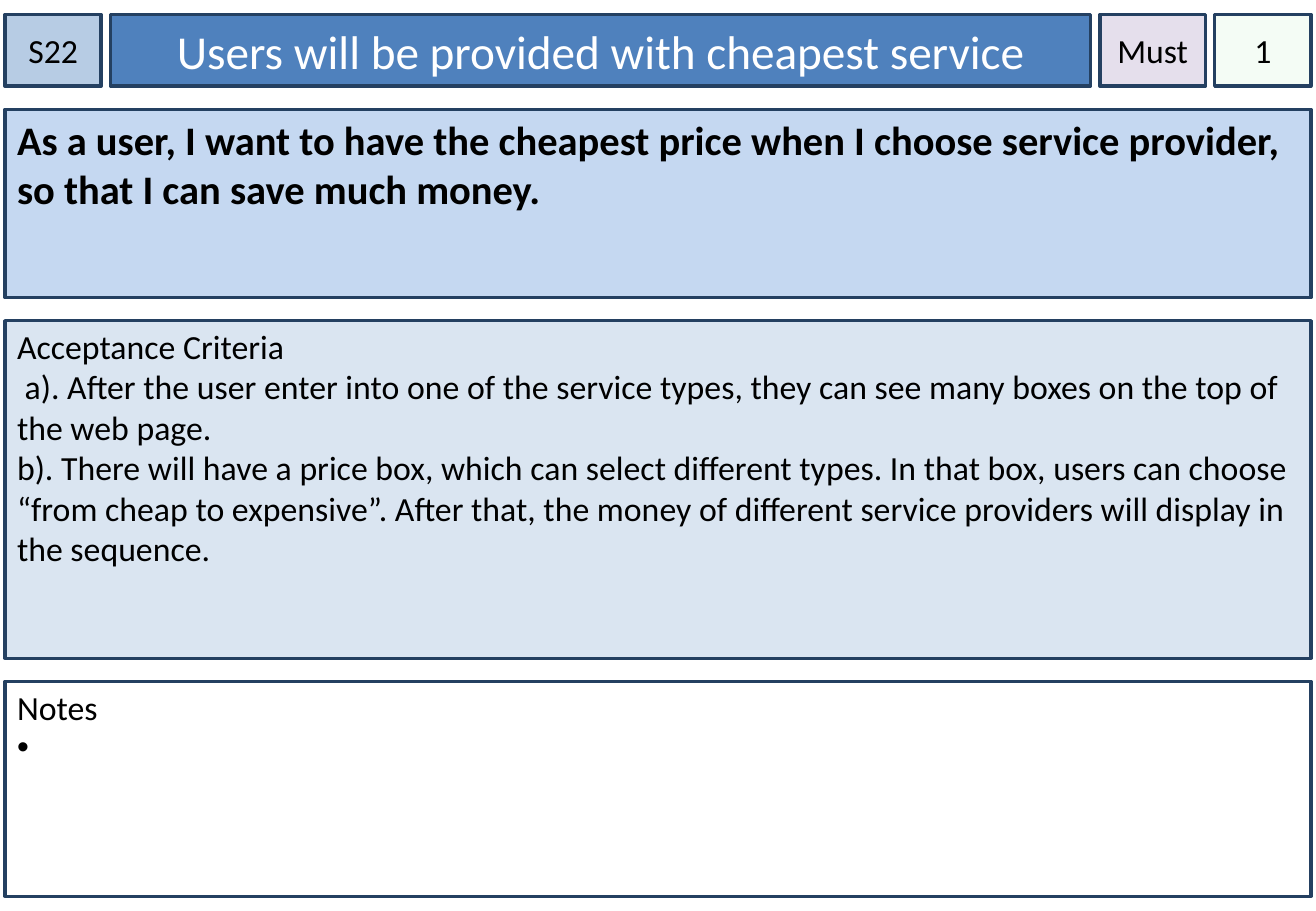
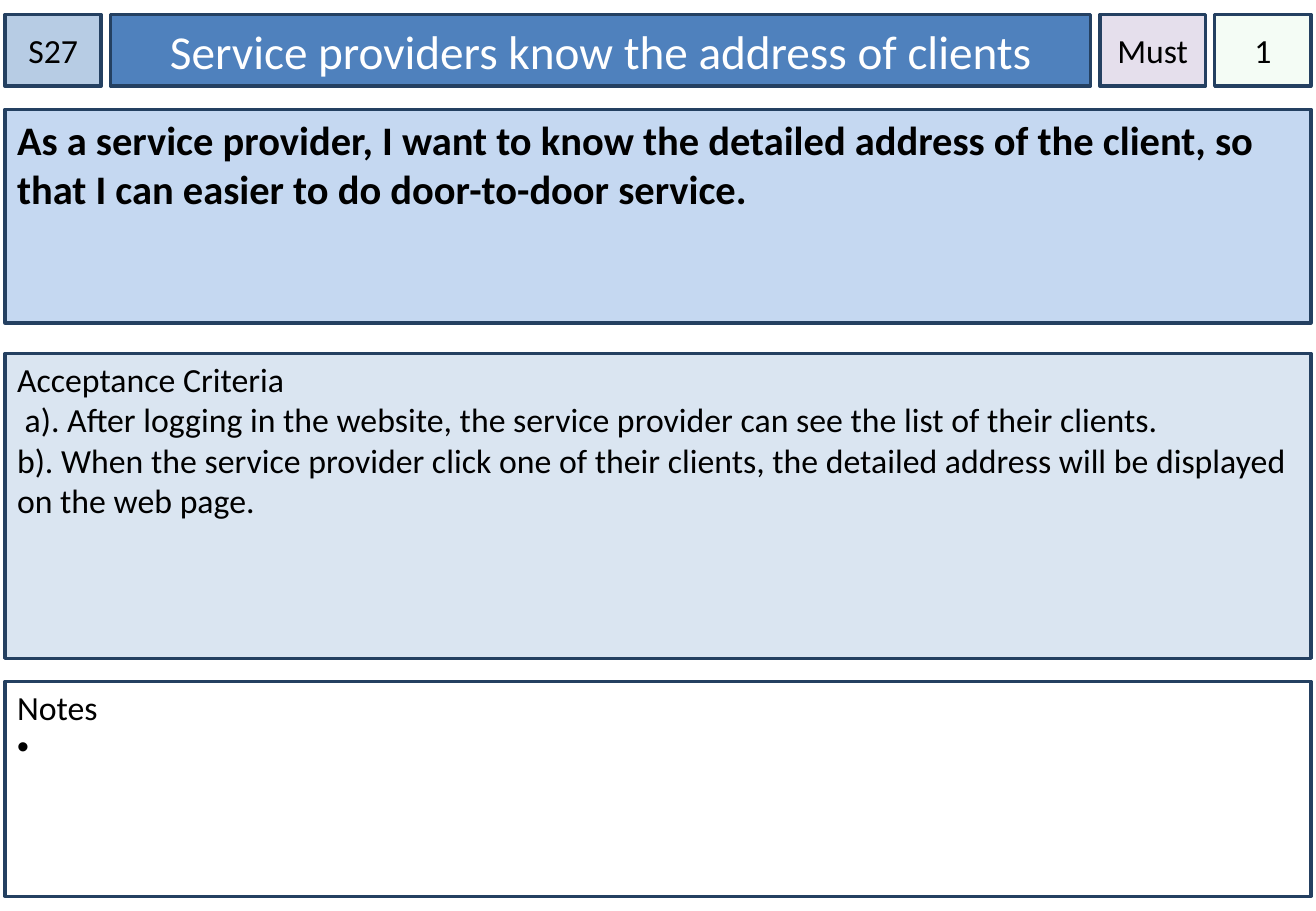
from dataclasses import dataclass

from lxml.etree import SubElement
from pptx import Presentation
from pptx.dml.color import RGBColor
from pptx.enum.shapes import MSO_SHAPE
from pptx.enum.text import MSO_ANCHOR, PP_ALIGN
from pptx.oxml.ns import qn
from pptx.util import Pt


@dataclass(frozen=True)
class Theme:
    font: str = "Calibri"
    ink: str = "000000"
    white: str = "FFFFFF"
    edge: str = "244061"
    code: str = "B7CCE4"
    title: str = "4F81BD"
    rank: str = "E5DFEC"
    points: str = "CCF0CD"
    story: str = "C5D8F1"
    tests: str = "DAE5F1"
    head: int = 28
    lead: int = 24
    body: int = 20
    line: int = 2


THEME = Theme()
WIDTH, HEIGHT = 780, 540
LEFT, SPAN = 3, 774
BAR = (LEFT, 8.6, SPAN, 42.5)
TOP = 64.8
BASE = 390.2
NOTES = (LEFT, 403.9, SPAN, 127.4)


def panel(slide, box, fill, side=7.2, top=3.6, anchor=MSO_ANCHOR.TOP):
    shape = slide.shapes.add_shape(MSO_SHAPE.RECTANGLE, *map(Pt, box))
    shape.shadow.inherit = False
    shape.fill.solid()
    shape.fill.fore_color.rgb = RGBColor.from_string(fill)
    shape.line.color.rgb = RGBColor.from_string(THEME.edge)
    shape.line.width = Pt(THEME.line)
    frame = shape.text_frame
    frame.word_wrap = True
    frame.vertical_anchor = anchor
    frame.margin_left = frame.margin_right = Pt(side)
    frame.margin_top, frame.margin_bottom = Pt(top), Pt(3.6)
    return shape


def write(para, text, size, color=THEME.ink, bold=False, align=PP_ALIGN.LEFT):
    para.alignment = align
    run = para.add_run()
    run.text = text
    font = run.font
    font.name, font.size, font.bold = THEME.font, Pt(size), bold
    font.color.rgb = RGBColor.from_string(color)


def fade(shape, share):
    color = shape.fill._xPr.find(qn("a:solidFill"))[0]
    SubElement(color, qn("a:alpha"), val=str(share * 1000))


def bullet(para):
    props = para._p.get_or_add_pPr()
    props.set("marL", str(Pt(14.4)))
    props.set("indent", str(Pt(-14.4)))
    SubElement(props, qn("a:buFont"), typeface="Arial")
    SubElement(props, qn("a:buChar"), char="•")


def header(slide, box, code, title, rank, points):
    left, top, width, height = box
    cells = [
        (code, 57, THEME.code, THEME.body, THEME.ink, 0),
        (title, 581, THEME.title, THEME.head, THEME.white, 7.2),
        (rank, 62.6, THEME.rank, THEME.body, THEME.ink, 0),
        (points, 57, THEME.points, THEME.body, THEME.ink, 0),
    ]
    gap = (width - sum(cell[1] for cell in cells)) / (len(cells) - 1)
    for text, wide, fill, size, color, side in cells:
        shape = panel(slide, (left, top, wide, height), fill, side,
                      anchor=MSO_ANCHOR.MIDDLE)
        write(shape.text_frame.paragraphs[0], text, size, color,
              align=PP_ALIGN.CENTER)
        left += wide + gap
    fade(shape, 20)


def story(slide, box, text):
    frame = panel(slide, box, THEME.story).text_frame
    write(frame.paragraphs[0], text, THEME.lead, bold=True)


def listing(slide, box, fill, label, items):
    frame = panel(slide, box, fill, top=2.9).text_frame
    write(frame.paragraphs[0], label, THEME.body)
    for item in items:
        write(frame.add_paragraph(), item, THEME.body)
    return frame


def card(slide, code, title, text, tall, start, tests):
    header(slide, BAR, code, title, "Must", "1")
    story(slide, (LEFT, TOP, SPAN, tall), text)
    listing(slide, (LEFT, start, SPAN, BASE - start), THEME.tests,
            "Acceptance Criteria", tests)
    frame = listing(slide, NOTES, THEME.white, "Notes", [" "])
    bullet(frame.paragraphs[-1])


CARDS = [
    ("S22", "Users will be provided with cheapest service",
     "As a user, I want to have the cheapest price when I choose service "
     "provider, so that I can save much money.", 111.6, 190.1,
     [" a). After the user enter into one of the service types, they can see "
      "many boxes on the top of the web page.",
      "b). There will have a price box, which can select different types. In "
      "that box, users can choose “from cheap to expensive”. After that, the "
      "money of different service providers will display in the sequence."]),
    ("S27", "Service providers know the address of clients",
     "As a service provider, I want to know the detailed address of the "
     "client, so that I can easier to do door-to-door service.", 126.7, 209.5,
     [" a). After logging in the website, the service provider can see the "
      "list of their clients.",
      "b). When the service provider click one of their clients, the detailed "
      "address will be displayed on the web page."]),
]


def main():
    deck = Presentation()
    deck.slide_width, deck.slide_height = Pt(WIDTH), Pt(HEIGHT)
    for data in CARDS:
        card(deck.slides.add_slide(deck.slide_layouts[6]), *data)
    deck.save("out.pptx")


if __name__ == "__main__":
    main()
